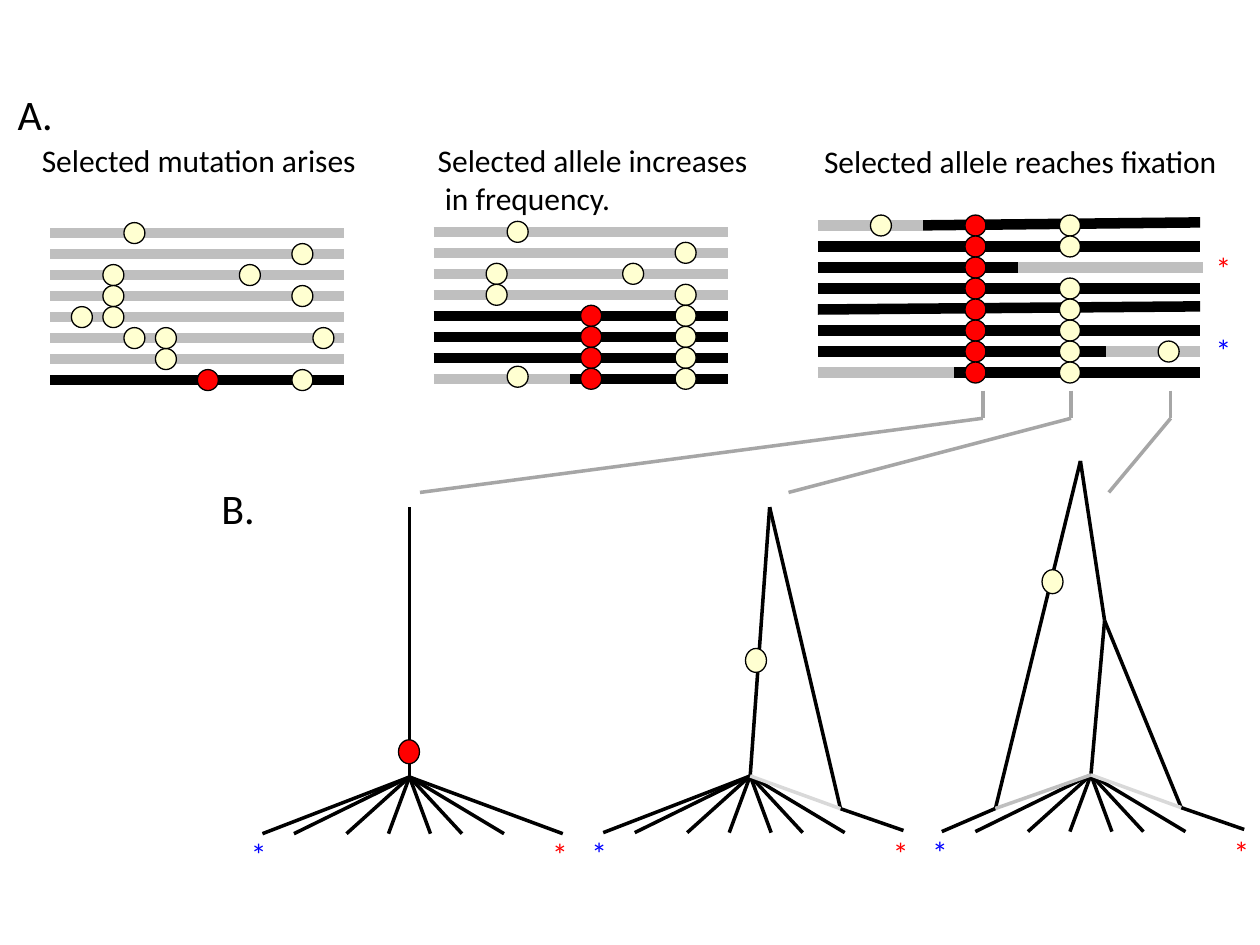
from collections import namedtuple
from dataclasses import dataclass
from pptx import Presentation
from pptx.dml.color import RGBColor as Rgb
from pptx.enum.shapes import MSO_CONNECTOR as Conn, MSO_SHAPE as Kind
from pptx.oxml.ns import qn
from pptx.util import Inches, Pt
from lxml.etree import SubElement


@dataclass(frozen=True)
class Theme:
    font: str = "Calibri"
    body: int = 18
    head: int = 24
    black: str = "000000"
    gray: str = "BFBFBF"
    pale: str = "D9D9D9"
    mid: str = "A6A6A6"
    cream: str = "FFFFD1"
    red: str = "FF0000"
    blue: str = "0000FF"
    bar: float = 6
    twig: float = 2
    edge: float = 0.75


look = Theme()
Box = namedtuple("Box", "col row")
page = Box(0, 0)
deck = Presentation()
deck.slide_width, deck.slide_height = Inches(10), Inches(7.5)
slide = deck.slides.add_slide(deck.slide_layouts[6])
COL = deck.slide_width / 120
ROW = deck.slide_height / 45


def place(box, col, row):
    return round((box.col + col) * COL), round((box.row + row) * ROW)


def text(box, words, col, row, wide, high, size=look.body, color=look.black, wrap=False):
    area = slide.shapes.add_textbox(*place(box, col, row), *place(page, wide, high))
    frame = area.text_frame
    frame.word_wrap = wrap
    for num, line in enumerate(words.split("\n")):
        para = frame.paragraphs[0] if num == 0 else frame.add_paragraph()
        run = para.add_run()
        run.text = line
        run.font.name, run.font.size = look.font, Pt(size)
        run.font.color.rgb = Rgb.from_string(color)


def path(box, *points, color=look.black, width=look.twig):
    for start, stop in zip(points, points[1:]):
        line = slide.shapes.add_connector(
            Conn.STRAIGHT, *place(box, *start), *place(box, *stop))
        line.line.color.rgb = Rgb.from_string(color)
        line.line.width = Pt(width)
        SubElement(line._element.spPr, qn("a:effectLst"))


def dot(box, col, row, color=look.cream, high=1):
    oval = slide.shapes.add_shape(
        Kind.OVAL, *place(box, col - 1, row - high / 2), *place(page, 2, high))
    oval.shadow.inherit = False
    oval.fill.solid()
    oval.fill.fore_color.rgb = Rgb.from_string(color)
    oval.line.color.rgb = Rgb.from_string(look.black)
    oval.line.width = Pt(look.edge)


def star(box, col, row, color):
    text(box, "*", col, row, 4, 2.4, color=color)


def panel(box, title, bars, reds, creams):
    words, col, row, wide, high, wrap = title
    text(box, words, col, row, wide, high, wrap=wrap)
    for row, left, right, color, rise in bars:
        path(box, (left, row), (right, row - rise), color=color, width=look.bar)
    for row in reds:
        dot(box, 15, row, look.red)
    for col, rows in creams.items():
        for row in rows:
            dot(box, col, row)


def tree(box, tips, limbs, faint, mark):
    for tip in tips:
        path(box, (0, 0), (tip, 2.7))
    for limb in limbs:
        path(box, *limb)
    for node, color in faint:
        path(box, (0, 0), node, color=color)
    dot(box, *mark, high=1.14)
    star(box, -16.3, 2.46, look.blue)
    star(box, 12.4, 2.46, look.red)


def full(rows, color, wide=28):
    return [(row, 0, wide, color, 0) for row in rows]


def upper():
    text(page, "A.", 0.5, 3.9, 5.8, 3, size=look.head)
    panel(Box(4.8, 11.1),
          ("Selected mutation arises", -2, -4.7, 34.2, 2.4, True),
          full(range(7), look.gray) + full([7], look.black), [7],
          {3: [4], 6: [2, 3, 4], 8: [0, 5], 11: [5, 6],
           19: [2], 24: [1, 3, 7], 26: [5]})
    panel(Box(41.3, 11.04),
          ("Selected allele increases\n in frequency.", -0.8, -4.6, 34.7, 4.3, True),
          full(range(4), look.gray) + full(range(4, 7), look.black)
          + [(7, 13, 28, look.black, 0), (7, 0, 13, look.gray, 0)],
          range(4, 8),
          {6: [2, 3], 8: [0, 6.9], 19: [2], 24: [1, *range(3, 8)]})
    last = Box(77.9, 10.74)
    panel(last,
          ("Selected allele reaches fixation", -0.6, -4.26, 40.3, 2.4, False),
          full([1, 3, 5], look.black, 36.4)
          + [(0, 8.5, 36.4, look.black, 0.15), (0, 0, 10, look.gray, 0),
             (2, 0, 20, look.black, 0), (2, 19.1, 36.7, look.gray, 0),
             (4, 0, 36.4, look.black, 0.15),
             (6, 0, 28, look.black, 0), (6, 27.4, 36.4, look.gray, 0),
             (7, 13, 36.4, look.black, 0), (7, 0, 13, look.gray, 0)],
          range(8),
          {6: [0], 24: [0, 1, *range(3, 8)], 33.4: [6]})
    star(last, 36.7, 0.84, look.red)
    star(last, 36.7, 4.74, look.blue)


def leads():
    for top, foot in ((93.6, 40), (102, 75.1), (111.5, 105.6)):
        path(page, (top, 18.6), (top, 19.92), (foot, 23.45), color=look.mid)


def lower():
    text(page, "B.", 19.9, 22.7, 5.6, 3, size=look.head)
    fan = [-14, -11, -6, -2, 2, 5, 9]
    hub, node, tip = (0, 0), (8.6, 1.56), (14.6, 2.6)
    tree(Box(39, 37), fan + [14.6], [[(0, -12.85), hub]], [], (-0.05, -1.2, look.red))
    tree(Box(71.45, 36.95), fan, [[hub, (1.85, -12.8), node, tip]],
         [(node, look.pale)], (0.55, -5.5))
    split, west = (1.3, -7.35), (-9.1, 1.6)
    tree(Box(103.9, 36.9), fan[1:],
         [[(-14.2, 2.7), west, (-1, -14.95), split, node, tip], [split, hub]],
         [(node, look.pale), (west, look.gray)], (-3.66, -9.2))


upper()
leads()
lower()
deck.save("out.pptx")
